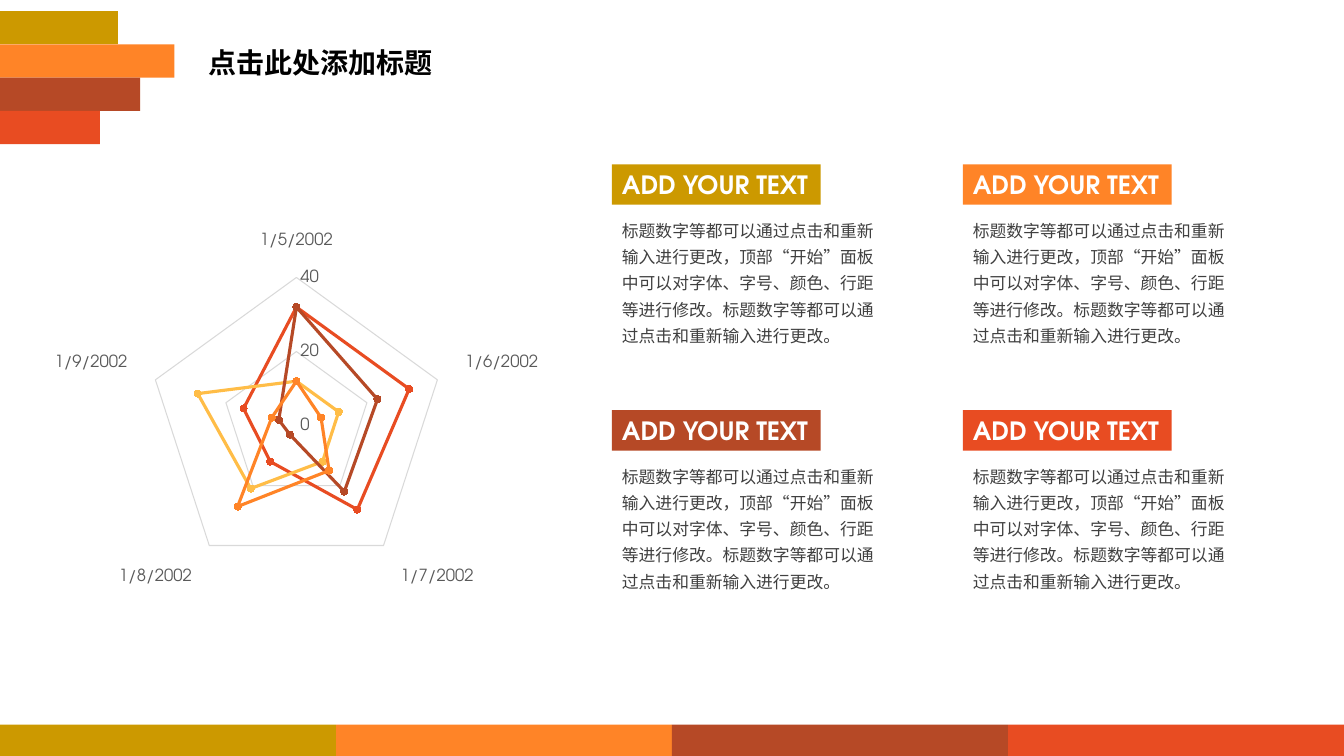
"""Build a slide with a radar chart, four captioned texts and coloured bands."""
from dataclasses import dataclass

from lxml import etree
from pptx import Presentation
from pptx.chart.data import CategoryChartData
from pptx.dml.color import RGBColor
from pptx.enum.chart import XL_CHART_TYPE, XL_MARKER_STYLE, XL_TICK_MARK
from pptx.enum.shapes import MSO_SHAPE
from pptx.enum.text import MSO_ANCHOR, MSO_AUTO_SIZE, PP_ALIGN
from pptx.oxml.ns import qn
from pptx.util import Inches, Pt

RECTANGLE = MSO_SHAPE.RECTANGLE
LEFT = PP_ALIGN.LEFT
TOP, MIDDLE = MSO_ANCHOR.TOP, MSO_ANCHOR.MIDDLE
GROW = MSO_AUTO_SIZE.SHAPE_TO_FIT_TEXT
RADAR = XL_CHART_TYPE.RADAR_MARKERS
CIRCLE = XL_MARKER_STYLE.CIRCLE
NO_TICK = XL_TICK_MARK.NONE

COLORS = {
    "gold": "CC9900", "orange": "FF8427", "brown": "B64926", "red": "E84C22",
    "amber": "FFBD47", "black": "000000", "white": "FFFFFF",
    "body": "404040", "axis": "595959", "grid": "D9D9D9",
}
THEME = ("gold", "orange", "brown", "red")
LATIN_FONT = "TeX Gyre Adventor"
CHINESE_FONT = "Noto Sans CJK SC"
PAGE_WIDTH, PAGE_HEIGHT = 13.33, 7.5
BAND_HEIGHT = 0.33
STRIPE_WIDTHS = (1.17, 1.73, 1.39, 0.99)
BODY_TEXT = (
    "标题数字等都可以通过点击和重新输入进行更改，顶部“开始”面板中可以对字体、字号、"
    "颜色、行距等进行修改。标题数字等都可以通过点击和重新输入进行更改。"
)


@dataclass(frozen=True)
class Area:
    left: float
    top: float
    width: float
    height: float

    def lengths(self) -> tuple:
        return tuple(Inches(n) for n in (self.left, self.top, self.width, self.height))


@dataclass(frozen=True)
class TextStyle:
    size: float
    font: str
    color: str
    bold: bool = False
    line_spacing: float = 1.0
    space_before: float = 0


@dataclass(frozen=True)
class RadarLine:
    name: str
    color: str
    values: tuple


TITLE = TextStyle(20, CHINESE_FONT, "black", True, 0.9, 10)
CAPTION = TextStyle(18, LATIN_FONT, "white", True)
BODY = TextStyle(12, CHINESE_FONT, "body", line_spacing=1.3)
RADAR_LINES = (
    RadarLine("Series 1", "red", (32, 32, 28, 12, 15)),
    RadarLine("Series 2", "amber", (12, 12, 12, 21, 28)),
    RadarLine("Series 3", "brown", (32, 23, 22, 3, 5)),
    RadarLine("Series 4", "orange", (12, 7, 15, 27, 7)),
)


def rgb(name: str) -> RGBColor:
    return RGBColor.from_string(COLORS[name])


def write(box, text: str, style: TextStyle, wrap: bool = True, anchor=TOP) -> None:
    frame = box.text_frame
    frame.word_wrap = wrap
    frame.vertical_anchor = anchor
    para = frame.paragraphs[0]
    para.alignment = LEFT
    para.line_spacing = style.line_spacing
    para.space_before = Pt(style.space_before)
    span = para.add_run()
    span.text = text
    span.font.size = Pt(style.size)
    span.font.bold = style.bold
    span.font.color.rgb = rgb(style.color)
    span.font.name = style.font
    properties = span._r.get_or_add_rPr()
    etree.SubElement(properties, qn("a:ea")).set("typeface", style.font)


def add_bar(page, area: Area, color: str):
    bar = page.shapes.add_shape(RECTANGLE, *area.lengths())
    bar.shadow.inherit = False
    bar.fill.solid()
    bar.fill.fore_color.rgb = rgb(color)
    bar.line.fill.background()
    return bar


def add_text(page, area: Area, text: str, style: TextStyle, anchor=TOP):
    box = page.shapes.add_textbox(*area.lengths())
    write(box, text, style, anchor=anchor)
    return box


def add_captioned_text(page, left: float, top: float, color: str) -> None:
    caption = add_bar(page, Area(left, top, 2.07, 0.4), color)
    write(caption, "ADD YOUR TEXT", CAPTION, wrap=False)
    caption.text_frame.auto_size = GROW
    body = add_text(page, Area(left, top + 0.45, 2.77, 1.41), BODY_TEXT, BODY)
    body.text_frame.auto_size = GROW


def style_font(font, size: float, color: str) -> None:
    font.name = LATIN_FONT
    font.size = Pt(size)
    font.color.rgb = rgb(color)


def style_line(line, color: str, width: float) -> None:
    line.color.rgb = rgb(color)
    line.width = Pt(width)


def add_radar(page, area: Area) -> None:
    data = CategoryChartData()
    data.categories = [f"1/{day}/2002" for day in range(5, 10)]
    for entry in RADAR_LINES:
        data.add_series(entry.name, entry.values)
    chart = page.shapes.add_chart(RADAR, *area.lengths(), data).chart
    chart.has_title = False
    chart.has_legend = False
    style_font(chart.font, 10, "black")
    for axis in (chart.category_axis, chart.value_axis):
        axis.major_tick_mark = axis.minor_tick_mark = NO_TICK
        style_font(axis.tick_labels.font, 11.9, "axis")
    chart.category_axis.has_major_gridlines = False
    style_line(chart.category_axis.format.line, "grid", 0.75)
    values = chart.value_axis
    values.minimum_scale, values.maximum_scale, values.major_unit = 0, 40, 20
    values.format.line.fill.background()
    values.has_major_gridlines = True
    style_line(values.major_gridlines.format.line, "grid", 0.75)
    for series, entry in zip(chart.plots[0].series, RADAR_LINES):
        style_line(series.format.line, entry.color, 2.25)
        series.marker.style = CIRCLE
        series.marker.size = 5
        series.marker.format.fill.solid()
        series.marker.format.fill.fore_color.rgb = rgb(entry.color)
        style_line(series.marker.format.line, entry.color, 0.75)


def main() -> None:
    deck = Presentation()
    deck.slide_width, deck.slide_height = Inches(PAGE_WIDTH), Inches(PAGE_HEIGHT)
    page = deck.slides.add_slide(deck.slide_layouts[6])
    footer_width = PAGE_WIDTH / len(THEME)
    footer_top = 7.19
    for index, (color, width) in enumerate(zip(THEME, STRIPE_WIDTHS)):
        add_bar(page, Area(0, 0.11 + index * BAND_HEIGHT, width, BAND_HEIGHT), color)
        add_bar(page, Area(index * footer_width, footer_top, footer_width, BAND_HEIGHT), color)
    add_text(page, Area(1.97, 0.35, 4.88, 0.58), "点击此处添加标题", TITLE, MIDDLE)
    add_radar(page, Area(0.44, 1.79, 5, 4.53))
    for index, color in enumerate(THEME):
        row, column = divmod(index, 2)
        add_captioned_text(page, 6.07 + column * 3.48, 1.63 + row * 2.44, color)
    deck.save("out.pptx")


main()
